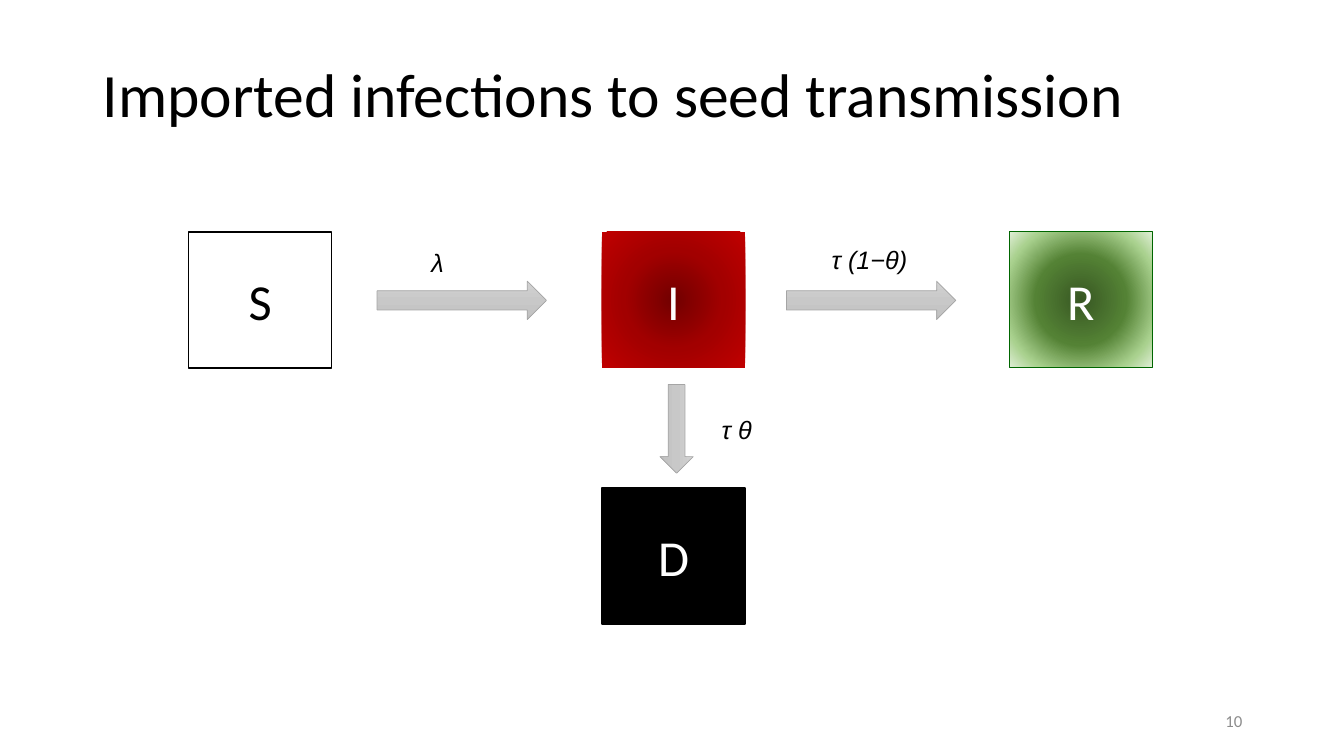
from lxml.etree import SubElement
from pptx import Presentation
from pptx.dml.color import RGBColor
from pptx.enum.shapes import MSO_SHAPE as SHAPE
from pptx.enum.text import MSO_ANCHOR as ANCHOR, PP_ALIGN as ALIGN
from pptx.oxml.ns import qn
from pptx.util import Inches, Pt

rgb = RGBColor.from_string

prs = Presentation()
prs.slide_width, prs.slide_height = Inches(13.33), Inches(7.5)
s = prs.slides.add_slide(prs.slide_layouts[6])

# Grid of compartments: three columns, two rows
COLS, ROWS = (1.87, 5.97, 10.01), (2.3, 4.84)
BOX_W, BOX_H = 1.42, 1.35
RED = [(0, "720000"), (50, "A20000"), (100, "C00000")]
GREEN = [(0, "385723"), (46, "548235"), (79, "A9D18E"), (100, "E2F0D9")]
GREY = [(0, "D2D2D2"), (50, "C8C8C8"), (100, "C0C0C0")]


def write(sp, text, font, size, color, align=ALIGN.LEFT, anchor=ANCHOR.TOP, italic=False):
    tf = sp.text_frame
    tf.word_wrap, tf.vertical_anchor = True, anchor
    p = tf.paragraphs[0]
    p.alignment = align
    r = p.add_run()
    r.text = text
    for name, value in dict(name=font, size=Pt(size), italic=italic).items():
        setattr(r.font, name, value)
    r.font.color.rgb = rgb(color)
    return p


def paint(sp, fill, line, width, radial=False):
    """Fill with one colour or a list of gradient stops, then set the outline."""
    sp.shadow.inherit = False
    if isinstance(fill, str):
        sp.fill.solid()
        sp.fill.fore_color.rgb = rgb(fill)
    else:
        sp.fill.gradient()
        grad = sp._element.spPr.find(qn("a:gradFill"))
        for child in list(grad):
            grad.remove(child)
        stops = SubElement(grad, qn("a:gsLst"))
        for pos, color in fill:
            stop = SubElement(stops, qn("a:gs"), pos=str(pos * 1000))
            SubElement(stop, qn("a:srgbClr"), val=color)
        if radial:
            path = SubElement(grad, qn("a:path"), path="circle")
            SubElement(path, qn("a:fillToRect"), **dict.fromkeys("ltrb", "50000"))
        else:
            SubElement(grad, qn("a:lin"), ang="5400000", scaled="0")
    if line:
        sp.line.color.rgb = rgb(line)
        sp.line.width = Pt(width)
    else:
        sp.line.fill.background()


# Title
tb = s.shapes.add_textbox(*map(Inches, (0.92, 0.24, 11.5, 1.45)))
p = write(tb, "Imported infections to seed transmission", "Calibri", 44, "000000",
          anchor=ANCHOR.MIDDLE)
p.line_spacing = 0.9

# Compartments
for letter, col, row, fill, line, width, color in [
    ("S", 0, 0, "FFFFFF", "000000", 1, "000000"),
    ("R", 2, 0, GREEN, "006600", 0.75, "FFFFFF"),
    ("I", 1, 0, RED, None, 0, "FFFFFF"),
    ("D", 1, 1, "000000", "000000", 1, "FFFFFF"),
]:
    sp = s.shapes.add_shape(SHAPE.RECTANGLE, Inches(COLS[col]), Inches(ROWS[row]),
                            Inches(BOX_W), Inches(BOX_H))
    paint(sp, fill, line, width, radial=True)
    write(sp, letter, "Calibri", 36, color, ALIGN.CENTER, ANCHOR.MIDDLE)

# Flows between compartments
for x, y, w, h, turn in [
    (3.74, 2.79, 1.68, 0.38, 0),
    (7.8, 2.79, 1.68, 0.38, 0),
    (6.27, 4.09, 0.88, 0.33, 90),
]:
    sp = s.shapes.add_shape(SHAPE.RIGHT_ARROW, *map(Inches, (x, y, w, h)))
    sp.rotation = turn
    paint(sp, GREY, "A5A5A5", 0.5)

# Flow rates
for text, x, y, w in [
    ("λ", 4.18, 2.4, 0.49),
    ("τ (1−θ)", 8.15, 2.37, 1.09),
    ("τ θ", 7.06, 4.06, 1.09),
]:
    tb = s.shapes.add_textbox(*map(Inches, (x, y, w, 0.4)))
    write(tb, text, "Arial", 18, "000000", italic=True)

# Slide number
tb = s.shapes.add_textbox(*map(Inches, (9.42, 6.95, 3, 0.4)))
write(tb, "10", "Calibri", 12, "8C8C8C", ALIGN.RIGHT, ANCHOR.MIDDLE)

prs.save("out.pptx")
